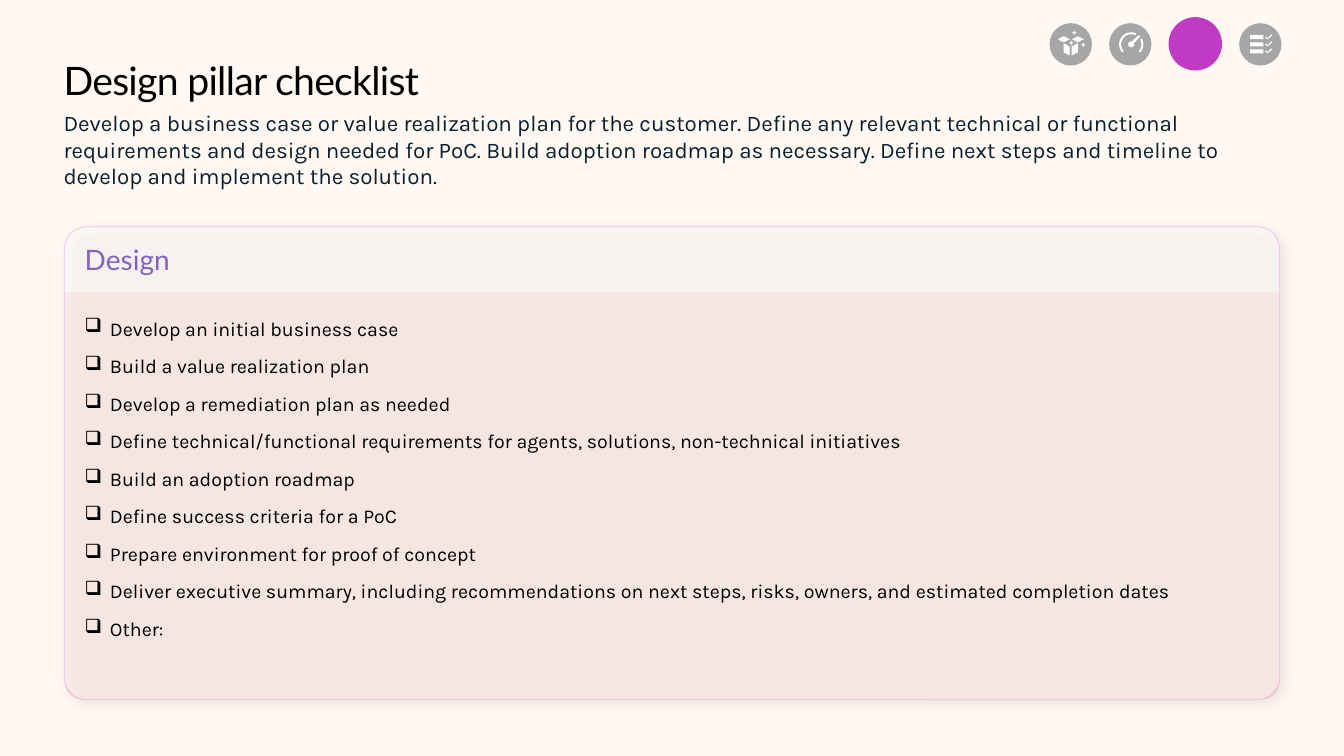
from math import cos, radians, sin

from lxml import etree
from pptx import Presentation
from pptx.dml.color import RGBColor
from pptx.enum.shapes import MSO_SHAPE
from pptx.enum.text import MSO_ANCHOR, MSO_AUTO_SIZE
from pptx.oxml.ns import qn
from pptx.util import Pt

RECTANGLE = MSO_SHAPE.RECTANGLE
OVAL = MSO_SHAPE.OVAL
STAR = MSO_SHAPE.STAR_4_POINT
ROUNDED = MSO_SHAPE.ROUNDED_RECTANGLE
ROUND_TWO = MSO_SHAPE.ROUND_2_SAME_RECTANGLE
TOP = MSO_ANCHOR.TOP
NO_AUTOFIT = MSO_AUTO_SIZE.NONE

EMU_PER_PX = 9144
COLORS = {
    "page": "FFF8F3",
    "panel": "FFDED7",
    "white": "FFFFFF",
    "border": "E6B1E7",
    "shadow": "000000",
    "title": "000000",
    "intro": "091F2C",
    "heading": "8661C5",
    "item": "000000",
    "inactive": "A6A6A6",
    "active": "C03BC4",
}
FORMATS = {
    "title": {"name": "Lato", "size": Pt(28)},
    "intro": {"name": "Karla", "size": Pt(16)},
    "heading": {"name": "Lato", "size": Pt(20)},
    "item": {"name": "Karla", "size": Pt(14)},
}
INTRO = (
    "Develop a business case or value realization plan for the customer. "
    "Define any relevant technical or functional requirements and design needed for PoC. "
    "Build adoption roadmap as necessary. "
    "Define next steps and timeline to develop and implement the solution."
)
CHECKLIST = [
    "Develop an initial business case",
    "Build a value realization plan",
    "Develop a remediation plan as needed",
    "Define technical/functional requirements for agents, solutions, non-technical initiatives",
    "Build an adoption roadmap",
    "Define success criteria for a PoC",
    "Prepare environment for proof of concept",
    "Deliver executive summary, including recommendations on next steps, risks, owners, "
    "and estimated completion dates",
    "Other:",
]


def px(value):
    """Turn px into EMU."""
    return round(value * EMU_PER_PX)


def rgb(color):
    """Look up a named colour."""
    return RGBColor.from_string(COLORS[color])


def paint(shape, color):
    """Give a shape a plain fill with no line and no shadow."""
    shape.shadow.inherit = False
    shape.fill.solid()
    shape.fill.fore_color.rgb = rgb(color)
    shape.line.fill.background()
    return shape


def add_preset(shapes, kind, box, color, adjustments=()):
    """Add a filled preset shape."""
    shape = shapes.add_shape(kind, *map(px, box))
    for index, value in enumerate(adjustments):
        shape.adjustments[index] = value
    return paint(shape, color)


def add_polygon(shapes, points, color="white"):
    """Add a filled closed outline."""
    corners = [(px(x), px(y)) for x, y in points]
    builder = shapes.build_freeform(*corners[0], scale=1.0)
    builder.add_line_segments(corners[1:], close=True)
    return paint(builder.convert_to_shape(), color)


def set_alpha(container, percent):
    """Set the opacity of the solid colour in an XML container."""
    color = container.find(f".//{qn('a:srgbClr')}")
    etree.SubElement(color, qn("a:alpha"), val=str(percent * 1000))


def add_card(shapes):
    """Add the tinted panel and the translucent bordered card above it."""
    add_preset(shapes, ROUND_TWO, (64, 290, 1205, 404), "panel", (0, 0.043))
    card = add_preset(shapes, ROUNDED, (64, 225, 1205, 469), "white", (0.047,))
    properties = card._element.spPr
    set_alpha(properties.find(qn("a:solidFill")), 50)
    card.line.color.rgb = rgb("border")
    card.line.width = Pt(1)
    set_alpha(properties.find(qn("a:ln")), 46)
    shadow = etree.SubElement(
        properties.find(qn("a:effectLst")), qn("a:outerShdw"),
        blurRad=str(Pt(10)), dist=str(Pt(5)), dir=str(45 * 60000), rotWithShape="0",
    )
    etree.SubElement(shadow, qn("a:srgbClr"), val=COLORS["shadow"])
    set_alpha(shadow, 14)


def add_bullet(paragraph):
    """Give a paragraph a hanging checkbox bullet."""
    properties = paragraph._p.get_or_add_pPr()
    properties.set("marL", str(px(25)))
    properties.set("indent", str(px(-25)))
    etree.SubElement(properties, qn("a:buChar"), char="❑")


def add_text(shapes, box, lines, style, margins, bullets=False):
    """Add a wrapped text box and return its paragraphs."""
    frame = shapes.add_textbox(*map(px, box)).text_frame
    sides = ("margin_left", "margin_top", "margin_right", "margin_bottom")
    values = dict(zip(sides, map(px, margins)))
    values.update(word_wrap=True, auto_size=NO_AUTOFIT, vertical_anchor=TOP)
    for name, value in values.items():
        setattr(frame, name, value)
    for index, line in enumerate(lines):
        paragraph = frame.add_paragraph() if index else frame.paragraphs[0]
        if bullets:
            add_bullet(paragraph)
            paragraph.space_before = Pt(4 if index else 0)
            paragraph.space_after = Pt(6)
        run = paragraph.add_run()
        run.text = line
        for name, value in FORMATS[style].items():
            setattr(run.font, name, value)
        run.font.color.rgb = rgb(style)
    return frame.paragraphs


def add_badge(slide, left):
    """Add a grouped grey circle and return the shapes of its group."""
    shapes = slide.shapes.add_group_shape().shapes
    add_preset(shapes, OVAL, (left, 23, 42, 42), "inactive")
    return shapes


def add_box_icon(slide):
    """Add the open box with sparkles."""
    shapes = add_badge(slide, 1041)
    flap = [(1069, 36), (1063, 39), (1069, 42), (1075, 39)]
    side = [(1069, 43), (1063, 46), (1063, 55), (1069, 52)]
    for points in (flap, side):
        add_polygon(shapes, points)
        add_polygon(shapes, [(2124 - x, y) for x, y in points])
    for left, top in ((1063, 30), (1060, 40), (1072, 42)):
        add_preset(shapes, STAR, (left, top, 5, 5), "white", (0.18,))


def arc(radius, start, end):
    """Return points on a circle around the gauge centre."""
    angles = [radians(start + (end - start) * step / 24) for step in range(25)]
    return [(1122 + radius * cos(angle), 44 + radius * sin(angle)) for angle in angles]


def add_gauge_icon(slide):
    """Add the gauge with its dial and needle."""
    shapes = add_badge(slide, 1100)
    for start, end in ((138, 295), (-28, 42)):
        add_polygon(shapes, arc(12, start, end) + arc(10, end, start))
    add_polygon(shapes, [(1121, 43), (1129, 35), (1131, 36), (1123, 45)])
    add_preset(shapes, OVAL, (1119, 41, 6, 6), "white")


def add_list_icon(slide):
    """Add the list with check marks."""
    shapes = add_badge(slide, 1229)
    check = [(1261, 34), (1257, 38), (1256, 36), (1255, 37), (1257, 39), (1262, 35)]
    for offset in (0, 7, 14):
        add_preset(shapes, RECTANGLE, (1240, 35 + offset, 13, 4), "white")
        add_polygon(shapes, [(x, y + offset) for x, y in check])


def main():
    """Build the checklist slide."""
    presentation = Presentation()
    presentation.slide_width = px(1333)
    presentation.slide_height = px(750)
    slide = presentation.slides.add_slide(presentation.slide_layouts[6])
    slide.background.fill.solid()
    slide.background.fill.fore_color.rgb = rgb("page")
    shapes = slide.shapes
    title = add_text(shapes, (63, 56, 1205, 47), ["Design pillar checklist"], "title", (0, 0, 0, 0))
    title[0].runs[0].font._element.set("spc", "-50")
    add_text(shapes, (63, 103, 1205, 85), [INTRO], "intro", (0, 5, 0, 0))
    add_card(shapes)
    heading = add_text(shapes, (64, 229, 618, 57), ["Design"], "heading", (20, 15, 15, 0))
    heading[0].line_spacing = 0.9
    add_text(shapes, (64, 294, 1205, 365), CHECKLIST, "item", (20, 20, 20, 20), bullets=True)
    add_list_icon(slide)
    add_gauge_icon(slide)
    add_box_icon(slide)
    add_preset(shapes, OVAL, (1159, 17, 53, 53), "active")
    presentation.save("out.pptx")


if __name__ == "__main__":
    main()
